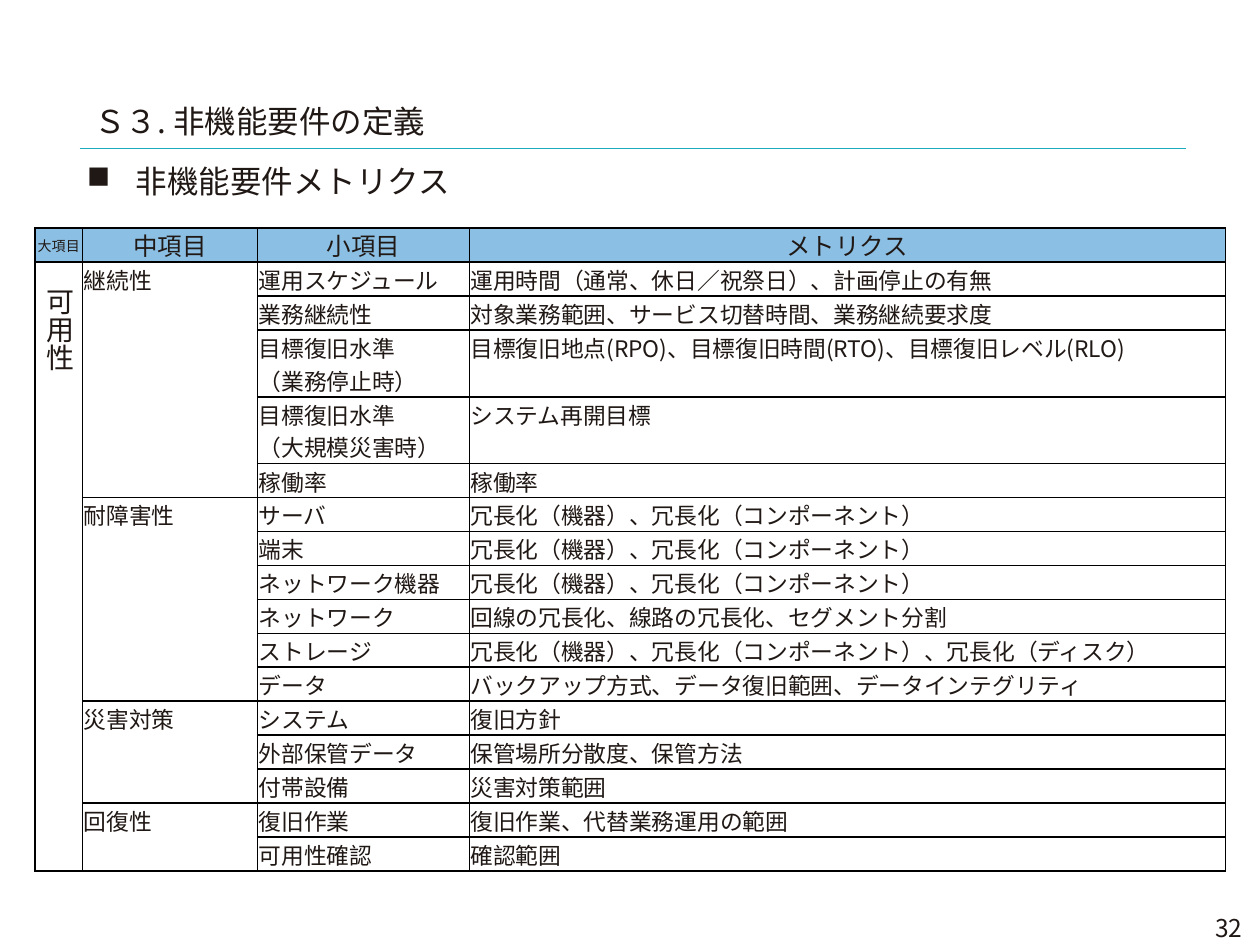
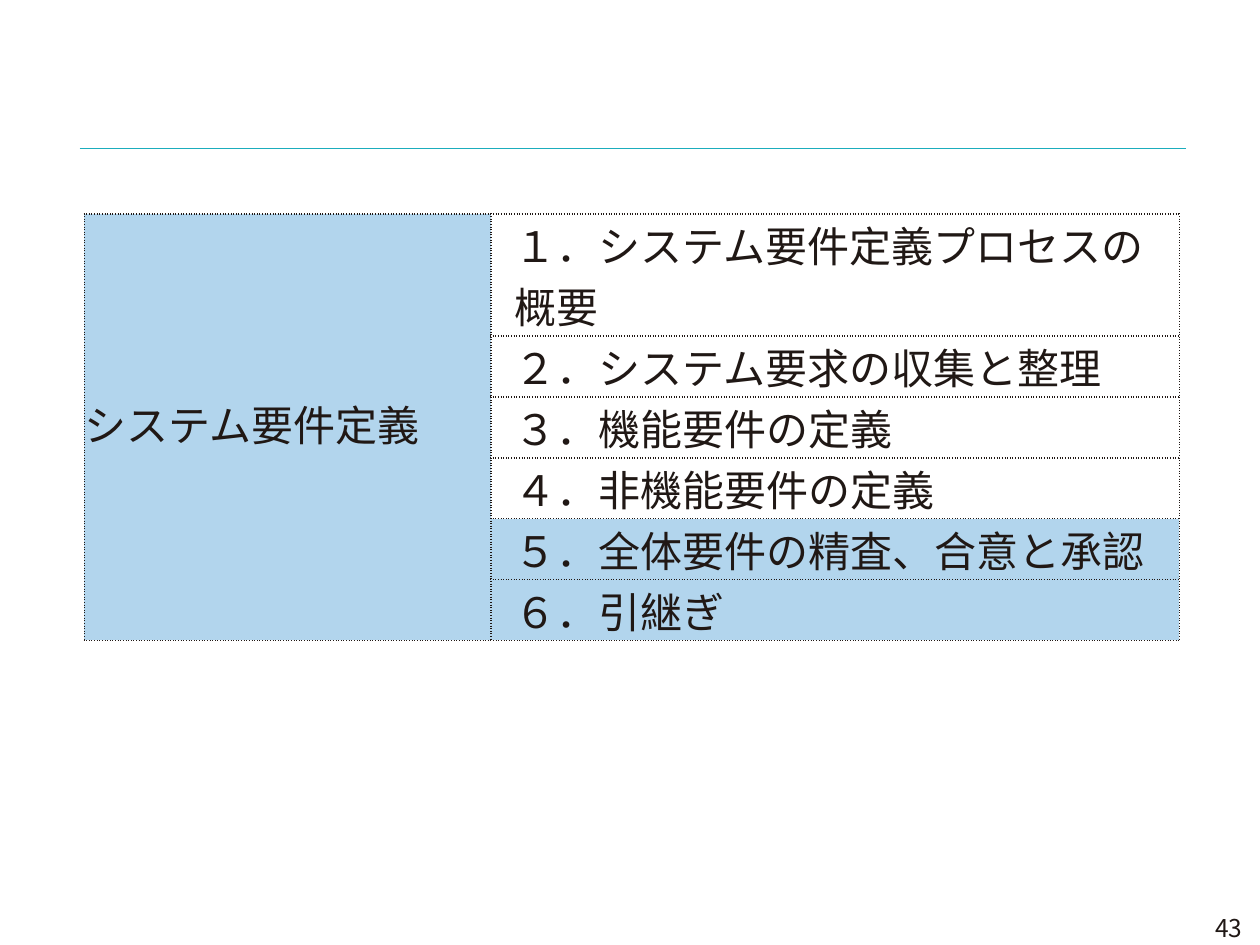
from itertools import accumulate
from pptx import Presentation
from pptx.dml.color import RGBColor
from pptx.enum.shapes import MSO_CONNECTOR
from pptx.enum.text import MSO_ANCHOR, PP_ALIGN
from pptx.oxml.ns import qn
from pptx.util import Pt
from lxml.etree import SubElement

FONT = "Noto Sans CJK JP"
INK = RGBColor(0x20, 0x18, 0x15)
BLACK = RGBColor(0, 0, 0)
WHITE = RGBColor(0xFF, 0xFF, 0xFF)
RULE = RGBColor(0x1B, 0xAD, 0xBD)
HEADER_BLUE = RGBColor(0x8B, 0xC0, 0xE4)
PALE_BLUE = RGBColor(0xB2, 0xD5, 0xED)


def write(para, text, size, **formats):
    """Fill a paragraph; line feeds become line breaks of the same size."""
    para.text = text
    for name, value in formats.items():
        setattr(para, name, value)
    for span in para.runs:
        span.font.size = Pt(size)
        span.font.name = FONT
        span.font.color.rgb = INK
        SubElement(span.font._element, qn("a:ea"), typeface=FONT)
    for line_break in para._p.findall(qn("a:br")):
        SubElement(line_break, qn("a:rPr"), sz=str(size * 100))


def add_grid(page, left, top, widths, heights, margins, color, dash):
    """Add a plain table with the same border round every cell."""
    frame = page.shapes.add_table(len(heights), len(widths), Pt(left), Pt(top),
                                  Pt(sum(widths)), Pt(sum(heights)))
    grid = frame.table
    grid.first_row = grid.horz_banding = False
    for column, width in zip(grid.columns, widths):
        column.width = Pt(width)
    for row, height in zip(grid.rows, heights):
        row.height = Pt(height)
    for cell in grid.iter_cells():
        for side, margin in zip(("left", "top", "right", "bottom"), margins):
            setattr(cell, f"margin_{side}", Pt(margin))
        properties = cell._tc.get_or_add_tcPr()
        for side in ("lnL", "lnR", "lnT", "lnB"):
            border = SubElement(properties, qn(f"a:{side}"), w=str(Pt(1)))
            fill = SubElement(border, qn("a:solidFill"))
            SubElement(fill, qn("a:srgbClr"), val=str(color))
            SubElement(border, qn("a:prstDash"), val=dash)
        cell.fill.solid()
        cell.fill.fore_color.rgb = WHITE
    return grid


deck = Presentation()
deck.slide_width, deck.slide_height = Pt(720), Pt(540)

# Shared rule and page number
pages = []
for number in ("32", "43"):
    page = deck.slides.add_slide(deck.slide_layouts[6])
    rule = page.shapes.add_connector(MSO_CONNECTOR.STRAIGHT, Pt(45.5), Pt(85), Pt(677.5), Pt(85))
    rule.line.color.rgb = RULE
    rule.line.width = Pt(0.25)
    SubElement(rule._element.spPr, qn("a:effectLst"))
    box = page.shapes.add_textbox(Pt(617), Pt(518.4), Pt(100), Pt(22))
    box.text_frame.word_wrap = True
    write(box.text_frame.paragraphs[0], number, 14, alignment=PP_ALIGN.RIGHT)
    pages.append(page)
metrics_page, contents_page = pages

# Title and bulleted heading
for text, left, top, width, bullet in (
        ("Ｓ３. 非機能要件の定義", 46.8, 54.7, 459, None),
        ("非機能要件メトリクス", 42.5, 89.3, 646.5, "■")):
    box = metrics_page.shapes.add_textbox(Pt(left), Pt(top), Pt(width), Pt(28))
    box.text_frame.word_wrap = True
    para = box.text_frame.paragraphs[0]
    write(para, text, 18)
    if bullet:
        properties = para._p.get_or_add_pPr()
        properties.set("marL", str(Pt(28)))
        properties.set("indent", str(Pt(-28)))
        SubElement(properties, qn("a:buChar"), char=bullet)

# Metrics table: each category with its items
HEADINGS = ("大項目", "中項目", "小項目", "メトリクス")
REDUNDANCY = "冗長化（機器）、冗長化（コンポーネント）"
CATEGORIES = {
    "継続性": (
        ("運用スケジュール", "運用時間（通常、休日／祝祭日）、計画停止の有無"),
        ("業務継続性", "対象業務範囲、サービス切替時間、業務継続要求度"),
        ("目標復旧水準\n（業務停止時）", "目標復旧地点(RPO)、目標復旧時間(RTO)、目標復旧レベル(RLO)"),
        ("目標復旧水準\n（大規模災害時）", "システム再開目標"),
        ("稼働率", "稼働率"),
    ),
    "耐障害性": (
        ("サーバ", REDUNDANCY),
        ("端末", REDUNDANCY),
        ("ネットワーク機器", REDUNDANCY),
        ("ネットワーク", "回線の冗長化、線路の冗長化、セグメント分割"),
        ("ストレージ", REDUNDANCY + "、冗長化（ディスク）"),
        ("データ", "バックアップ方式、データ復旧範囲、データインテグリティ"),
    ),
    "災害対策": (
        ("システム", "復旧方針"),
        ("外部保管データ", "保管場所分散度、保管方法"),
        ("付帯設備", "災害対策範囲"),
    ),
    "回復性": (
        ("復旧作業", "復旧作業、代替業務運用の範囲"),
        ("可用性確認", "確認範囲"),
    ),
}
items = [item for group in CATEGORIES.values() for item in group]
heights = [19.4] + [38.2 if "\n" in name else 19.4 for name, metric in items]
metrics = add_grid(metrics_page, 20, 130.4, (27.2, 100, 121, 432), heights,
                   (0.7, 0.7, 0.7, 0), BLACK, "solid")
for column, heading in enumerate(HEADINGS):
    cell = metrics.cell(0, column)
    cell.vertical_anchor = MSO_ANCHOR.MIDDLE
    cell.fill.fore_color.rgb = HEADER_BLUE
    write(cell.text_frame.paragraphs[0], heading, 14 if column else 8,
          alignment=PP_ALIGN.CENTER, line_spacing=0.9)
for row, item in enumerate(items, 1):
    for column, text in enumerate(item, 2):
        write(metrics.cell(row, column).text_frame.paragraphs[0], text, 13)
metrics.cell(1, 0).merge(metrics.cell(len(items), 0))
ends = accumulate(len(group) for group in CATEGORIES.values())
for (category, group), end in zip(CATEGORIES.items(), ends):
    first = metrics.cell(end - len(group) + 1, 1)
    first.merge(metrics.cell(end, 1))
    write(first.text_frame.paragraphs[0], category, 13)

# Vertical label over the first column
label = metrics_page.shapes.add_textbox(Pt(20), Pt(157.7), Pt(28), Pt(55.5))
frame = label.text_frame
for name, value in {"word_wrap": False, "vertical_anchor": MSO_ANCHOR.MIDDLE,
                    "margin_left": Pt(4.3), "margin_right": Pt(4.3)}.items():
    setattr(frame, name, value)
frame._txBody.bodyPr.set("vert", "eaVert")
write(frame.paragraphs[0], "可用性", 16)

# Contents table: the last two chapters are highlighted
CHAPTERS = ("１．システム要件定義プロセスの概要", "２．システム要求の収集と整理",
            "３．機能要件の定義", "４．非機能要件の定義",
            "５．全体要件の精査、合意と承認", "６．引継ぎ")
contents = add_grid(contents_page, 48.2, 122.4, (232.3, 393.5), [69.7] + [34.8] * 5,
                    (0, 0, 0, 0), INK, "sysDot")
for row, chapter in enumerate(CHAPTERS):
    cell = contents.cell(row, 1)
    cell.vertical_anchor = MSO_ANCHOR.MIDDLE
    para = cell.text_frame.paragraphs[0]
    write(para, chapter, 24)
    para._p.get_or_add_pPr().set("marL", str(Pt(13.7)))
    if row >= 4:
        cell.fill.fore_color.rgb = PALE_BLUE
subject = contents.cell(0, 0)
subject.merge(contents.cell(len(CHAPTERS) - 1, 0))
subject.vertical_anchor = MSO_ANCHOR.MIDDLE
subject.fill.fore_color.rgb = PALE_BLUE
write(subject.text_frame.paragraphs[0], "システム要件定義", 24,
      line_spacing=0.8, space_before=Pt(7))

deck.save("out.pptx")
